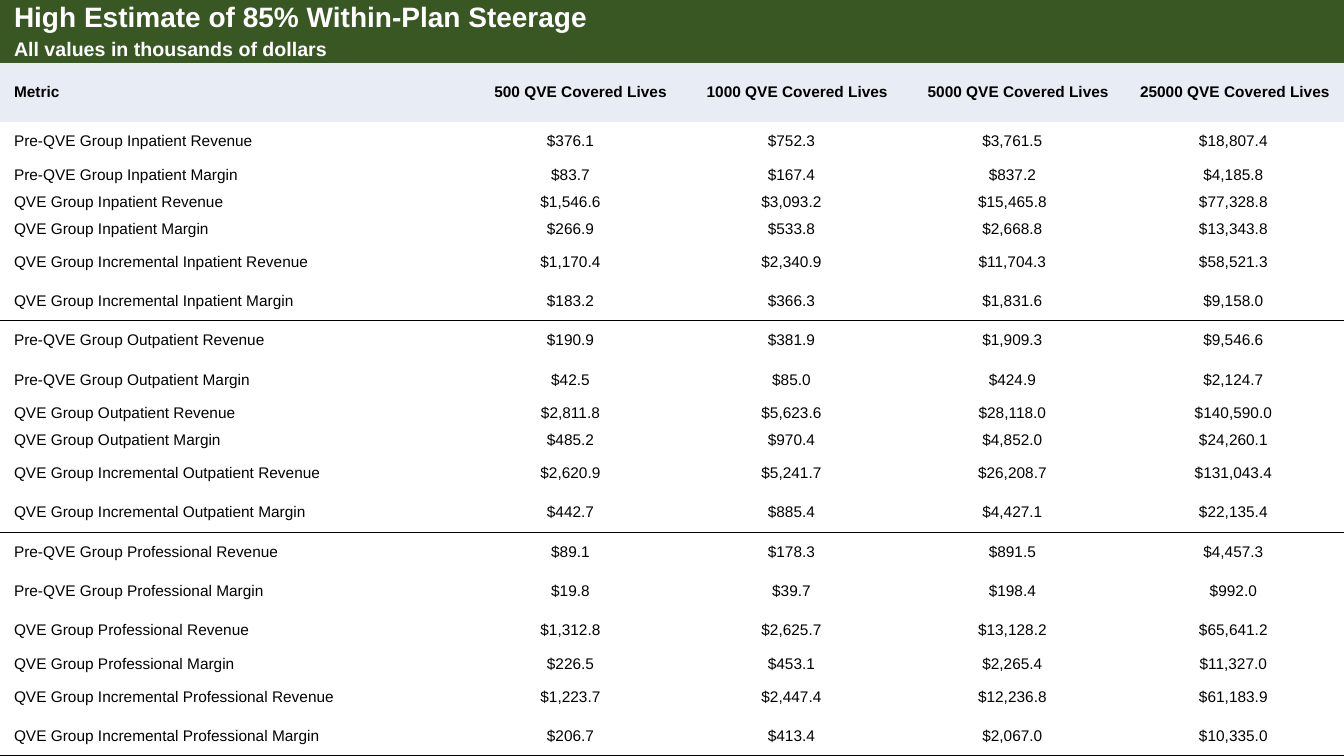
from lxml import etree
from pptx import Presentation
from pptx import util as u
from pptx.dml.color import RGBColor
from pptx.enum import text
from pptx.oxml import ns

EMU_PER_PX = 914400 / 100.8
WIDTH, HEIGHT = 1344, 756
TITLE_H, SUBTITLE_H, HEADER_H, SHORT_H = 36, 27, 59, 27
METRIC_W, VALUE_W = 460, 221
COLORS = {"banner": "385723", "header": "E7ECF5", "white": "FFFFFF", "black": "000000"}
NO_STYLE = "{2D5ABB26-0587-4C30-8999-92F81FD0307C}"

titles = [
    ("High Estimate of 85% Within-Plan Steerage", 20),
    ("All values in thousands of dollars", 14),
]
header = ["Metric"] + [f"{lives} QVE Covered Lives" for lives in (500, 1000, 5000, 25000)]
measures = ["Pre-QVE Group {} Revenue", "Pre-QVE Group {} Margin",
            "QVE Group {} Revenue", "QVE Group {} Margin",
            "QVE Group Incremental {} Revenue", "QVE Group Incremental {} Margin"]
services = {
    "Inpatient": [
        (376.1, 752.3, 3761.5, 18807.4),
        (83.7, 167.4, 837.2, 4185.8),
        (1546.6, 3093.2, 15465.8, 77328.8),
        (266.9, 533.8, 2668.8, 13343.8),
        (1170.4, 2340.9, 11704.3, 58521.3),
        (183.2, 366.3, 1831.6, 9158.0),
    ],
    "Outpatient": [
        (190.9, 381.9, 1909.3, 9546.6),
        (42.5, 85.0, 424.9, 2124.7),
        (2811.8, 5623.6, 28118.0, 140590.0),
        (485.2, 970.4, 4852.0, 24260.1),
        (2620.9, 5241.7, 26208.7, 131043.4),
        (442.7, 885.4, 4427.1, 22135.4),
    ],
    "Professional": [
        (89.1, 178.3, 891.5, 4457.3),
        (19.8, 39.7, 198.4, 992.0),
        (1312.8, 2625.7, 13128.2, 65641.2),
        (226.5, 453.1, 2265.4, 11327.0),
        (1223.7, 2447.4, 12236.8, 61183.9),
        (206.7, 413.4, 2067.0, 10335.0),
    ],
}
short_rows = {
    "Pre-QVE Group Inpatient Margin", "QVE Group Inpatient Revenue",
    "QVE Group Inpatient Margin", "QVE Group Outpatient Revenue",
    "QVE Group Outpatient Margin", "QVE Group Professional Margin",
}


def px(n):
    return u.Emu(round(n * EMU_PER_PX))


def write_cell(cell, words, size=11, bold=False, color="black", fill=None,
               align=text.PP_ALIGN.LEFT):
    cell.margin_left = cell.margin_right = cell.margin_top = cell.margin_bottom = 0
    cell.vertical_anchor = text.MSO_ANCHOR.MIDDLE
    if fill:
        cell.fill.solid()
        cell.fill.fore_color.rgb = RGBColor.from_string(COLORS[fill])
    else:
        cell.fill.background()
    p = cell.text_frame.paragraphs[0]
    p.alignment = align
    pPr = p._p.get_or_add_pPr()
    for side in ("marL", "marR"):
        pPr.set(side, str(px(14)))
    pPr.set("indent", "0")
    r = p.add_run()
    r.text = words
    r.font.name = "Arial"
    r.font.size = u.Pt(size)
    r.font.bold = bold
    r.font.color.rgb = RGBColor.from_string(COLORS[color])


prs = Presentation()
prs.slide_width, prs.slide_height = px(WIDTH), px(HEIGHT)
slide = prs.slides.add_slide(prs.slide_layouts[6])

metrics = [(measure.format(service), values, measure == measures[-1])
           for service, rows in services.items()
           for measure, values in zip(measures, rows)]
tall_h = ((HEIGHT - TITLE_H - SUBTITLE_H - HEADER_H - SHORT_H * len(short_rows))
          / (len(metrics) - len(short_rows)))
heights = [TITLE_H, SUBTITLE_H, HEADER_H]
heights += [SHORT_H if name in short_rows else tall_h for name, _, _ in metrics]

frame = slide.shapes.add_table(len(heights), len(header), 0, 0, px(WIDTH), px(HEIGHT))
table = frame.table
table.first_row = table.horz_banding = False
table._tbl.tblPr.find(ns.qn("a:tableStyleId")).text = NO_STYLE
for i, column in enumerate(table.columns):
    column.width = px(VALUE_W if i else METRIC_W)
for row, height in zip(table.rows, heights):
    row.height = px(height)

for i, (words, size) in enumerate(titles):
    table.cell(i, 0).merge(table.cell(i, len(header) - 1))
    write_cell(table.cell(i, 0), words, size, True, "white", "banner")

for col, words in enumerate(header):
    align = text.PP_ALIGN.RIGHT if col else text.PP_ALIGN.LEFT
    write_cell(table.cell(2, col), words, bold=True, fill="header", align=align)

for row, (name, values, ends_service) in enumerate(metrics, 3):
    write_cell(table.cell(row, 0), name)
    for col, value in enumerate(values, 1):
        write_cell(table.cell(row, col), f"${value:,.1f}", align=text.PP_ALIGN.CENTER)
    if ends_service:
        for cell in table.rows[row].cells:
            line = etree.Element(ns.qn("a:lnB"), w=str(u.Pt(1)))
            fill = etree.SubElement(line, ns.qn("a:solidFill"))
            etree.SubElement(fill, ns.qn("a:srgbClr"), val=COLORS["black"])
            cell._tc.get_or_add_tcPr().insert(0, line)

prs.save("out.pptx")
